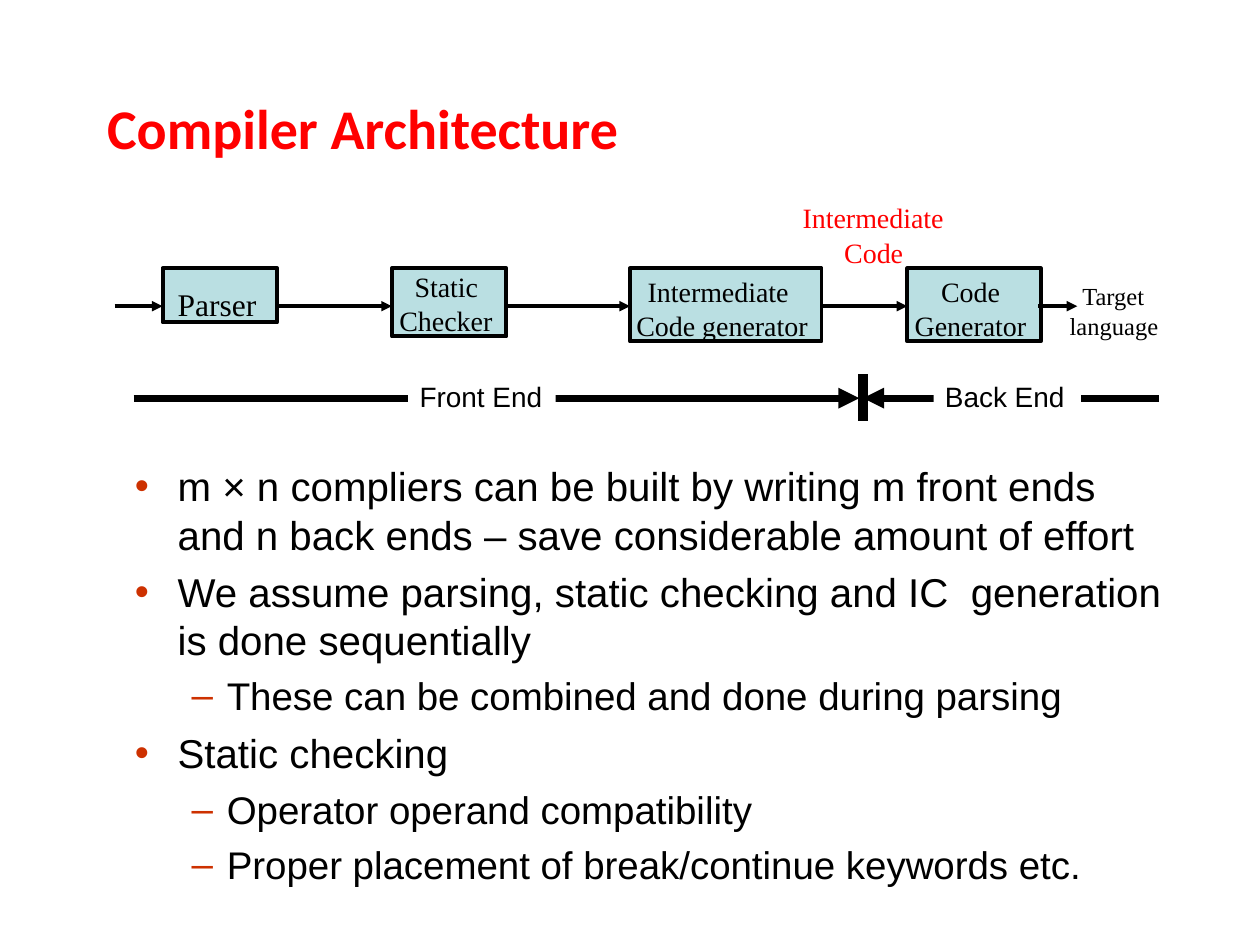
from lxml.etree import SubElement
from pptx import Presentation
from pptx.dml.color import RGBColor
from pptx.enum.shapes import MSO_CONNECTOR, MSO_SHAPE
from pptx.enum.text import MSO_ANCHOR, PP_ALIGN
from pptx.oxml.ns import qn
from pptx.util import Inches, Pt

BLACK, RED, WHITE = "000000", "FF0000", "FFFFFF"
BOX_FILL, BULLET = "BADFE2", "CD3100"
SERIF = "Times New Roman"
FLOW_Y, SPAN_Y = 2.43, 3.16

STAGES = [
    ("Parser", 1.29, 0.91, 0.43, 18, 0.13, 0.12, 0),
    ("Static Checker", 3.11, 0.91, 0.54, 16, 0.01, 0.06, 0.12),
    ("Intermediate Code generator", 5, 1.52, 0.58, 16, 0.05, 0.05, 0.09),
    ("Code Generator", 7.2, 1.06, 0.58, 16, 0.05, 0.06, 0.21),
]
FLOWS = [(0.91, 1.29), (2.2, 3.11), (4.02, 5), (6.52, 7.2), (8.24, 8.55)]
POINTS = [
    (0, "m × n compliers can be built by writing m front ends and n back ends – "
        "save considerable amount of effort", 0),
    (0, "We assume parsing, static checking and IC  generation is done sequentially", 4.8),
    (1, "These can be combined and done during parsing", 5),
    (0, "Static checking", 5.8),
    (1, "Operator operand compatibility", 5),
    (1, "Proper placement of break/continue keywords etc.", 5),
]


def rgb(color):
    """Turn a hex string into a colour."""
    return RGBColor.from_string(color)


def set_frame(sp, left=0, top=0):
    """Prepare a wrapping text frame with the given insets."""
    tf = sp.text_frame
    tf.word_wrap = True
    tf.vertical_anchor = MSO_ANCHOR.TOP
    tf.margin_left, tf.margin_top = Inches(left), Inches(top)
    tf.margin_right = tf.margin_bottom = 0
    return tf


def style(p, size, font, color=BLACK, bold=False, margin=0, indent=0):
    """Format a paragraph, its indents and its runs."""
    p.alignment = PP_ALIGN.LEFT
    pPr = p._p.get_or_add_pPr()
    pPr.set("marL", str(Inches(margin)))
    pPr.set("indent", str(Inches(indent)))
    for r in p.runs:
        r.font.size = Pt(size)
        r.font.name = font
        r.font.bold = bold
        r.font.color.rgb = rgb(color)


def add_text(s, text, box, size, font, spacing=None, **look):
    """Add a one-paragraph text box."""
    sp = s.shapes.add_textbox(*map(Inches, box))
    tf = set_frame(sp)
    tf.text = text
    p = tf.paragraphs[0]
    p.line_spacing = spacing
    style(p, size, font, **look)
    return tf


def add_box(s, text, box, fill, size, font, line=None, inset=(0, 0), **look):
    """Add a filled rectangle with text."""
    sp = s.shapes.add_shape(MSO_SHAPE.RECTANGLE, *map(Inches, box))
    sp.shadow.inherit = False
    sp.fill.solid()
    sp.fill.fore_color.rgb = rgb(fill)
    if line:
        sp.line.color.rgb = rgb(line)
        sp.line.width = Pt(2.25)
    else:
        sp.line.fill.background()
    tf = set_frame(sp, *inset)
    tf.text = text
    style(tf.paragraphs[0], size, font, **look)


def add_line(s, start, end, width, arrow=True):
    """Add a straight black line, with an arrowhead at its end if wanted."""
    points = map(Inches, (*start, *end))
    cn = s.shapes.add_connector(MSO_CONNECTOR.STRAIGHT, *points)
    cn.line.color.rgb = rgb(BLACK)
    cn.line.width = Pt(width)
    if arrow:
        SubElement(cn.line._get_or_add_ln(), qn("a:tailEnd"), type="triangle")
    SubElement(cn._element.spPr, qn("a:effectLst"))


def add_bullet(p, char):
    """Give a paragraph a coloured bullet character."""
    pPr = p._p.get_or_add_pPr()
    color = SubElement(pPr, qn("a:buClr"))
    SubElement(color, qn("a:srgbClr"), val=BULLET)
    SubElement(pPr, qn("a:buFont"), typeface="Arial")
    SubElement(pPr, qn("a:buChar"), char=char)


def add_points(s):
    """Add the two-level bullet list."""
    levels = [("•", 23, 0.35, -0.34), ("–", 22, 0.74, -0.28)]
    tf = set_frame(s.shapes.add_textbox(*map(Inches, (1.06, 3.66, 8.19, 3.38))))
    for i, (level, text, before) in enumerate(POINTS):
        p = tf.add_paragraph() if i else tf.paragraphs[0]
        char, size, margin, indent = levels[level]
        p.text = text
        p.level = level
        p.space_before = Pt(before)
        if i == 0:
            p.line_spacing = Pt(27.9)
        style(p, size, "Arial", margin=margin, indent=indent)
        add_bullet(p, char)


def add_pipeline(s):
    """Add the compiler stages, their arrows and their labels."""
    for text, left, width, height, size, top, margin, indent in STAGES:
        add_box(s, text, (left, 2.13, width, height), BOX_FILL, size, SERIF,
                line=BLACK, inset=(0, top), margin=margin, indent=indent)
    for start, end in FLOWS:
        add_line(s, (start, FLOW_Y), (end, FLOW_Y), 2)
    add_text(s, "Intermediate Code", (6.36, 1.59, 1.18, 0.55), 16, SERIF,
             Pt(19.5), color=RED, margin=0.34, indent=-0.33)
    add_text(s, "Target language", (8.48, 2.23, 0.76, 0.47), 14, SERIF,
             1.01, margin=0.01, indent=0.1)


def add_spans(s):
    """Add the front end and back end ranges."""
    add_line(s, (1.06, SPAN_Y), (6.82, SPAN_Y), 4)
    add_line(s, (9.2, SPAN_Y), (6.85, SPAN_Y), 4)
    add_line(s, (6.85, 2.97), (6.85, 3.34), 6, arrow=False)
    for text, left in (("Front End", 3.24), ("Back End", 7.41)):
        add_box(s, text, (left, 2.98, 1.17, 0.36), WHITE, 16, "Arial",
                inset=(0.09, 0.03))


def main():
    """Build the slide and save it."""
    prs = Presentation()
    prs.slide_width, prs.slide_height = Inches(10), Inches(7.5)
    s = prs.slides.add_slide(prs.slide_layouts[6])
    tf = add_text(s, "Compiler Architecture", (0.84, 0.77, 8.33, 0.54), 32,
                  "Calibri", 0.9, color=RED, bold=True, margin=0.01)
    tf.vertical_anchor = MSO_ANCHOR.MIDDLE
    add_pipeline(s)
    add_spans(s)
    add_points(s)
    prs.save("out.pptx")


if __name__ == "__main__":
    main()
